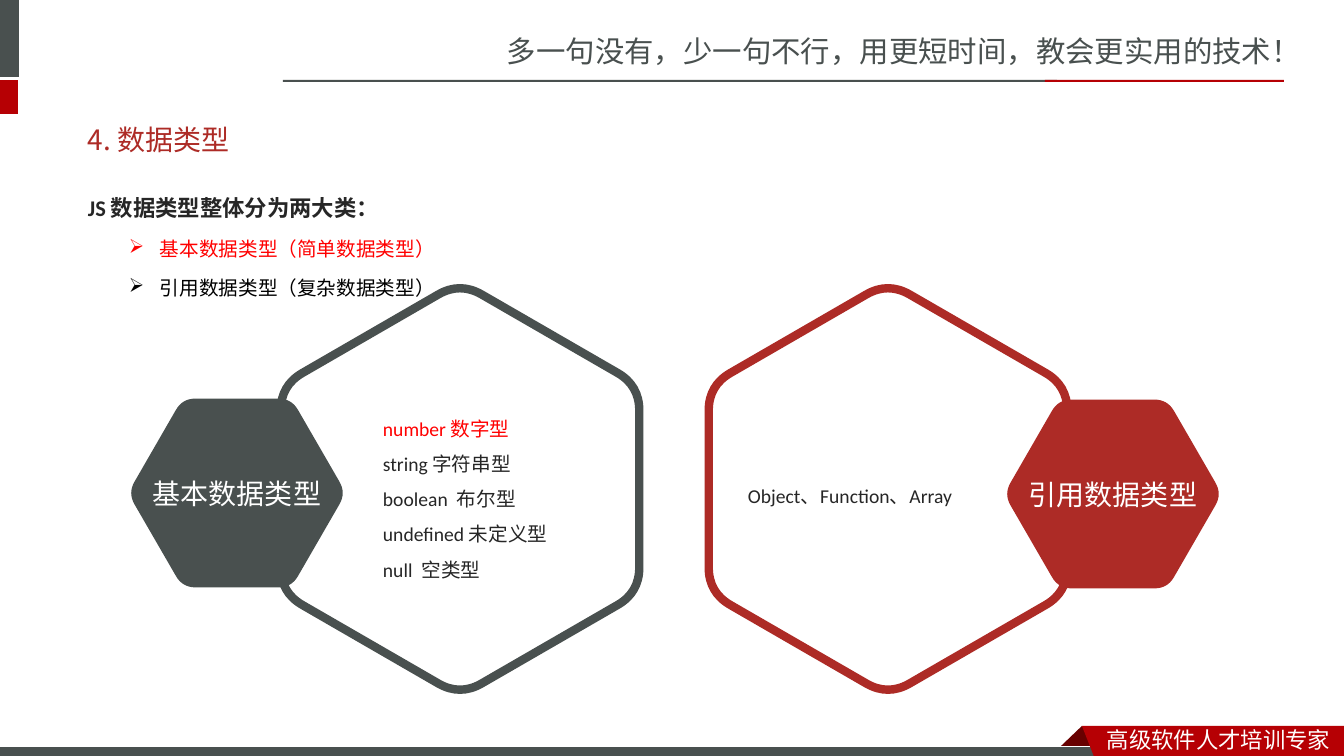
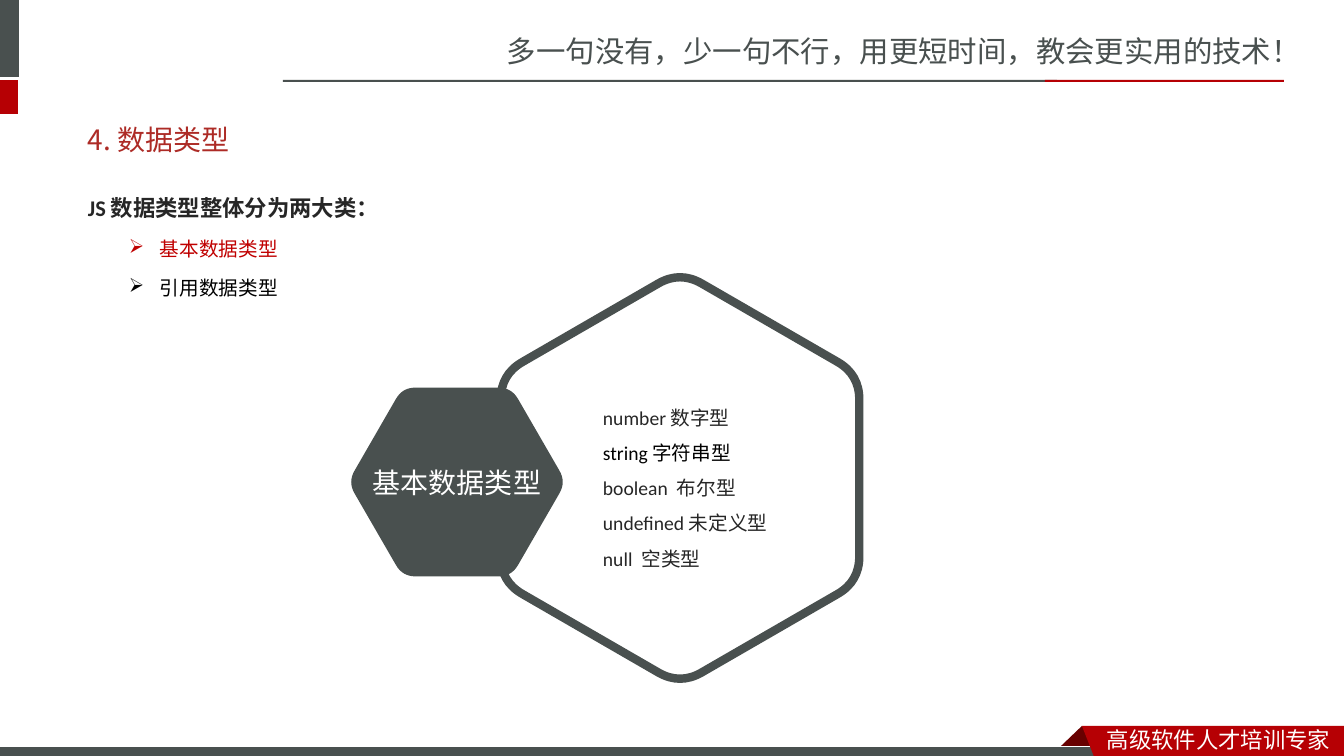
import math
from dataclasses import dataclass

from lxml import etree
from pptx import Presentation
from pptx import util as u
from pptx.dml.color import RGBColor
from pptx.enum import shapes, text
from pptx.oxml.ns import qn


@dataclass(frozen=True)
class Theme:
    slate: str = "49504F"
    brick: str = "AD2B26"
    crimson: str = "B60004"
    fold: str = "680000"
    white: str = "FFFFFF"
    ink: str = "262626"
    black: str = "000000"
    alert: str = "FF0000"
    alert_dark: str = "C00000"
    cjk: str = "Noto Sans CJK SC"
    title_font: str = "Noto Sans CJK JP"
    latin: str = "Calibri"
    badge_font: str = "Roboto"
    slogan: int = 21
    heading: int = 20
    lead: int = 16
    body: int = 14
    leading: float = 1.8


T = Theme()
WIDTH, HEIGHT = 1344, 756
PX = 12192000 / WIDTH

# Content
SLOGAN = "多一句没有，少一句不行，用更短时间，教会更实用的技术！"
FOOTER = "高级软件人才培训专家"
TITLE = "4. 数据类型"
LEAD = "JS 数据类型整体分为两大类："
BASIC, REFERENCE = "基本数据类型", "引用数据类型"
BASIC_TYPES = ["number 数字型", "string 字符串型", "boolean  布尔型",
               "undefined 未定义型", "null  空类型"]
REFERENCE_TYPES = ["Object、Function、Array"]

# Offsets are measured from the centre of the large hexagon
BASIC_GROUP = dict(label=BASIC, types=BASIC_TYPES, color=T.slate,
                   badge=(-223, 4), listing=(-87, -90, 238, 188))
REFERENCE_GROUP = dict(label=REFERENCE, types=REFERENCE_TYPES, color=T.brick,
                       badge=(225, 5), listing=(-150, -22, 274, 45))

SLIDES = [
    dict(bullets=[(BASIC + "（简单数据类型）", T.alert),
                  (REFERENCE + "（复杂数据类型）", T.black)],
         groups=[(BASIC_GROUP, (460, 489), {0: T.alert}),
                 (REFERENCE_GROUP, (888, 489), {})]),
    dict(bullets=[(BASIC, T.alert_dark), (REFERENCE, T.black)],
         groups=[(BASIC_GROUP, (680, 478), {1: T.black})]),
]

# Frame shared by the slides
BARS = [((-6, 0, 25, 77), T.slate), ((-6, 80, 24, 34), T.crimson),
        ((283, 80, 774, 2), T.slate), ((1045, 80, 239, 2), T.crimson)]
BOTTOM_BAR = (-1, 747, 1109, 12)
FOLD = [(1082, 726), (1104, 748), (1103, 749), (1060, 749), (1059, 748)]
RIBBON = [(1082, 726), (1344, 726), (1344, 760), (1095, 759)]


def px(value):
    return u.Emu(round(value * PX))


def rgb(color):
    return RGBColor.from_string(color)


def paint(shape, fill, line=None, weight=0):
    shape.shadow.inherit = False
    shape.fill.solid()
    shape.fill.fore_color.rgb = rgb(fill)
    if line:
        shape.line.color.rgb = rgb(line)
        shape.line.width = u.Pt(weight)
    else:
        shape.line.fill.background()
    return shape


def bar(slide, box, fill, line=None, weight=0):
    rect = slide.shapes.add_shape(shapes.MSO_SHAPE.RECTANGLE, *map(px, box))
    return paint(rect, fill, line, weight)


def outline(slide, points, fill, line=None, weight=0):
    corners = [(px(x), px(y)) for x, y in points]
    builder = slide.shapes.build_freeform(*corners[0])
    builder.add_line_segments(corners[1:], close=True)
    return paint(builder.convert_to_shape(), fill, line, weight)


def rounded_hexagon(slide, center, radius, cut, start, *colors):
    """Regular hexagon whose corners are curves beginning `cut` from each tip."""
    angles = [math.radians(start + 60 * i) for i in range(6)]
    tips = [(center[0] + radius * math.cos(a), center[1] + radius * math.sin(a))
            for a in angles]
    share, points = cut / radius, []
    for i, tip in enumerate(tips):
        enter, leave = [tuple(c + share * (n - c) for c, n in zip(tip, near))
                        for near in (tips[i - 1], tips[(i + 1) % 6])]
        middle = tuple((a + 2 * c + b) / 4
                       for a, c, b in zip(enter, tip, leave))
        points += [enter, middle, leave]
    hexagon = outline(slide, points, *colors)
    curve_corners(hexagon)
    return hexagon


def curve_corners(shape):
    """Turn each enter, middle, leave triple of the outline into one curve."""
    nodes = list(next(shape._element.iter(qn("a:path"))))
    for i in range(0, 18, 3):
        enter, middle, leave = [node[0] for node in nodes[i:i + 3]]
        for axis in ("x", "y"):
            a, m, b = [int(pt.get(axis)) for pt in (enter, middle, leave)]
            middle.set(axis, str(round(2 * m - (a + b) / 2)))
        curve = etree.Element(qn("a:quadBezTo"))
        nodes[i + 1].addprevious(curve)
        curve.extend([middle, leave])
        for node in nodes[i + 1:i + 3]:
            node.getparent().remove(node)


def style(paragraph, size, color, latin, bold=False):
    font = paragraph.font
    font.size, font.name, font.bold = u.Pt(size), latin, bold
    font.color.rgb = rgb(color)
    props = paragraph._p.get_or_add_pPr().find(qn("a:defRPr"))
    east_asian = T.title_font if latin == T.title_font else T.cjk
    etree.SubElement(props, qn("a:ea")).set("typeface", east_asian)


def add_bullet(paragraph):
    props = paragraph._p.get_or_add_pPr()
    props.set("marL", str(px(72)))
    props.set("indent", str(px(-31)))
    etree.SubElement(props, qn("a:buChar")).set("char", "➢")


def text_box(slide, box, lines, middle=False, spaced=False, gap=0):
    """Each line is (wording, size, color, font, bold, bulleted)."""
    frame = slide.shapes.add_textbox(*map(px, box)).text_frame
    frame.word_wrap = True
    frame.vertical_anchor = (text.MSO_ANCHOR.MIDDLE if middle
                             else text.MSO_ANCHOR.TOP)
    for i, (wording, size, color, latin, bold, bulleted) in enumerate(lines):
        paragraph = frame.add_paragraph() if i else frame.paragraphs[0]
        paragraph.text = wording
        if bulleted:
            add_bullet(paragraph)
        if spaced:
            paragraph.line_spacing = u.Pt(size * T.leading)
        if i and gap:
            paragraph.space_before = u.Pt(gap)
        style(paragraph, size, color, latin, bold)


def plain(wording, size, color, latin):
    return wording, size, color, latin, False, False


def draw_frame(slide):
    text_box(slide, (497, 28, 847, 47),
             [plain(SLOGAN, T.slogan, T.slate, T.cjk)])
    for box, color in BARS:
        bar(slide, box, color)
    outline(slide, FOLD, T.fold)
    bar(slide, BOTTOM_BAR, T.slate, T.white, 0.75)
    outline(slide, RIBBON, T.crimson)
    text_box(slide, (1097, 721, 247, 37),
             [plain(FOOTER, T.lead, T.white, T.cjk)])


def draw_intro(slide, bullets):
    lines = [(LEAD, T.lead, T.ink, T.latin, True, False)]
    lines += [(wording, T.body, color, T.latin, False, True)
              for wording, color in bullets]
    text_box(slide, (78, 176, 1181, 502), lines, spaced=True, gap=2.8)
    text_box(slide, (78, 111, 1181, 57),
             [plain(TITLE, T.heading, T.brick, T.title_font)], middle=True)


def draw_group(slide, group, center, highlights):
    cx, cy = center
    rounded_hexagon(slide, center, 207, 25, 30, T.white, group["color"], 6)

    dx, dy = group["badge"]
    badge = rounded_hexagon(slide, (cx + dx, cy + dy), 109, 13, 0,
                            group["color"])
    badge.text_frame.vertical_anchor = text.MSO_ANCHOR.MIDDLE
    label = badge.text_frame.paragraphs[0]
    label.text = group["label"]
    label.alignment = text.PP_ALIGN.CENTER
    style(label, T.heading, T.white, T.badge_font)

    left, top, width, height = group["listing"]
    text_box(slide, (cx + left, cy + top, width, height),
             [plain(name, T.body, highlights.get(i, T.ink), T.latin)
              for i, name in enumerate(group["types"])],
             middle=True, spaced=True)


def main():
    deck = Presentation()
    deck.slide_width, deck.slide_height = px(WIDTH), px(HEIGHT)
    for page in SLIDES:
        slide = deck.slides.add_slide(deck.slide_layouts[6])
        draw_frame(slide)
        draw_intro(slide, page["bullets"])
        for group, center, highlights in page["groups"]:
            draw_group(slide, group, center, highlights)
    deck.save("out.pptx")


if __name__ == "__main__":
    main()
